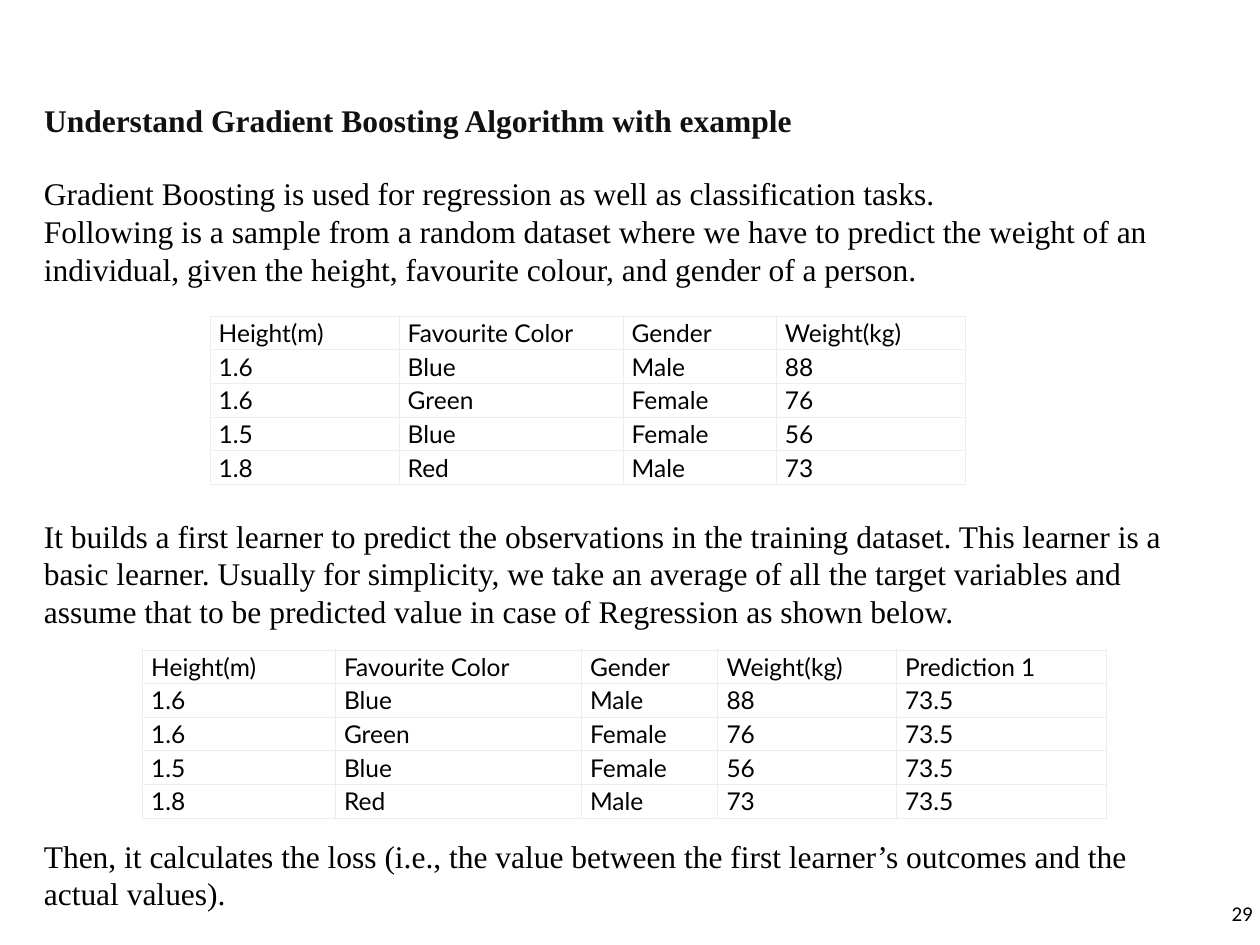
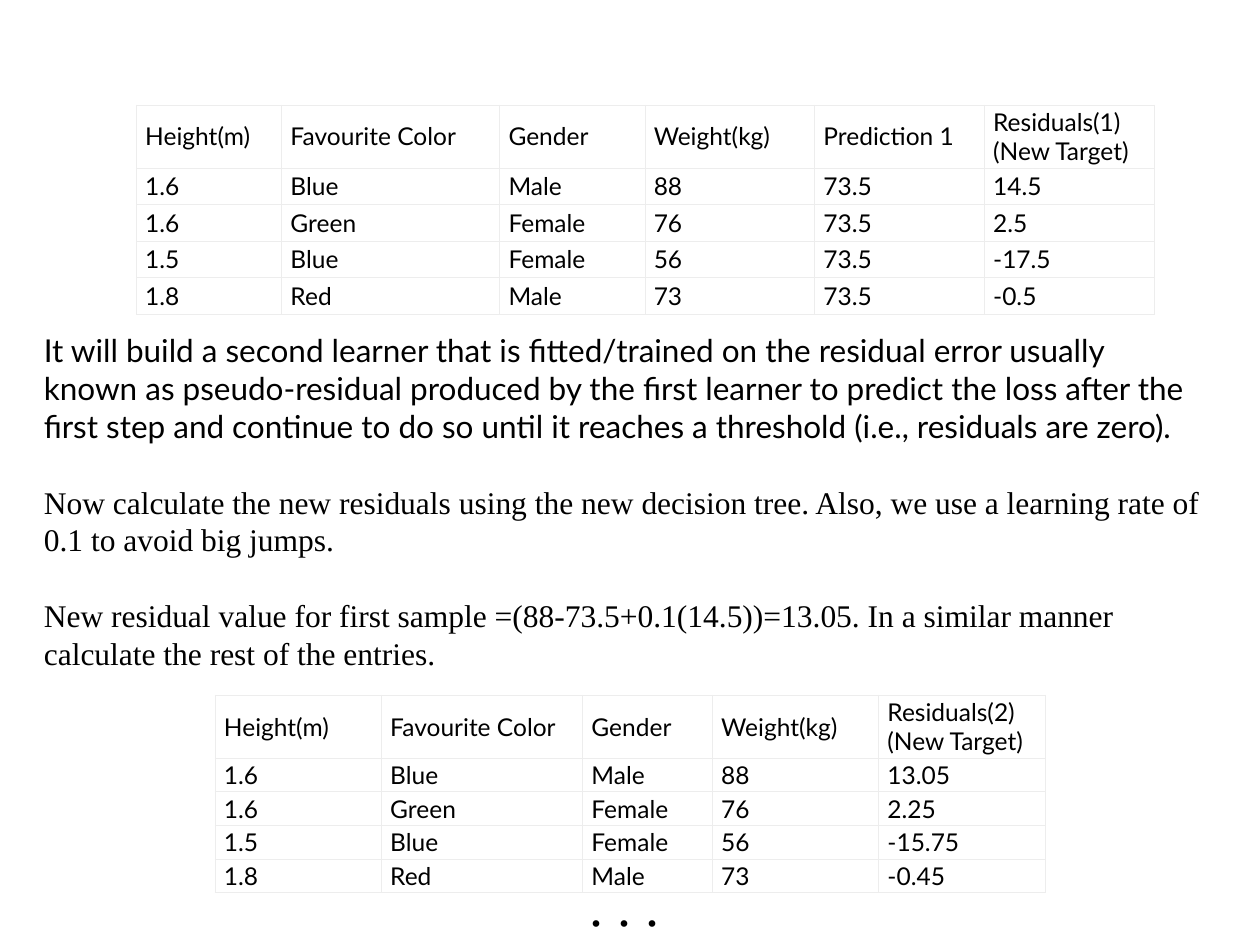
"""Build two slides that work through gradient boosting on a small data set."""
from lxml.etree import SubElement, Element
from pptx import Presentation
from pptx.dml.color import RGBColor
from pptx.enum.text import MSO_ANCHOR as Anchor, MSO_AUTO_SIZE as AutoSize, PP_ALIGN as Align
from pptx.oxml.ns import qn
from pptx.util import Pt

BLACK = RGBColor(0x00, 0x00, 0x00)
TITLE_INK = RGBColor(0x11, 0x11, 0x11)
WHITE = RGBColor(0xFF, 0xFF, 0xFF)
RULE = RGBColor(0xED, 0xED, 0xED)
SERIF, SANS, NUMBER_FONT = "Times New Roman", "Lato", "Calibri"
TITLE_ONLY, BLANK = 5, 6
LEFT, BODY_WIDTH = 18, 678
LINE_FACTOR = 1.2
BODY_LINE = 18 * LINE_FACTOR
ROW = 19.2
TALL_HEADER = 36

SAMPLES = {
    "Height(m)": ["1.6", "1.6", "1.5", "1.8"],
    "Favourite Color": ["Blue", "Green", "Blue", "Red"],
    "Gender": ["Male", "Female", "Female", "Male"],
    "Weight(kg)": ["88", "76", "56", "73"],
}
PREDICTION = {"Prediction 1": ["73.5"] * 4}
FIRST_RESIDUALS = {"Residuals(1) (New Target)": ["14.5", "2.5", "-17.5", "-0.5"]}
SECOND_RESIDUALS = {"Residuals(2)\n(New Target)": ["13.05", "2.25", "-15.75", "-0.45"]}


class Deck:
    """Hold the shared style and the slide being filled."""

    def __init__(self):
        self.prs = Presentation()
        self.prs.slide_width, self.prs.slide_height = Pt(720), Pt(540)
        self.slide = None

    def new_slide(self, layout):
        """Start a slide on the given layout."""
        self.slide = self.prs.slides.add_slide(self.prs.slide_layouts[layout])
        self.slide.background.fill.solid()
        self.slide.background.fill.fore_color.rgb = WHITE

    def style(self, paragraph, font=SERIF, size=18, color=BLACK, bold=False):
        """Format the runs of one paragraph."""
        for run in paragraph.runs:
            run.font.name, run.font.size, run.font.bold = font, Pt(size), bold
            run.font.color.rgb = color

    def fill_frame(self, frame, paragraphs, align=Align.LEFT, gap=0, fonts=(), wrap=True, **look):
        """Write paragraphs into a frame, with one line pitch for all fonts."""
        frame.word_wrap, frame.auto_size = wrap, AutoSize.NONE
        frame.vertical_anchor = Anchor.TOP
        frame.text = "\n".join(paragraphs)
        for index, paragraph in enumerate(frame.paragraphs):
            paragraph.alignment = align
            paragraph.line_spacing = Pt(look.get("size", 18) * LINE_FACTOR)
            paragraph.space_before = Pt(gap if index else 0)
            paragraph_look = {**look, "font": fonts[index]} if fonts else look
            self.style(paragraph, **paragraph_look)

    def title(self, text, left, top, width, height):
        """Place the slide title."""
        heading = self.slide.shapes.title
        heading.left, heading.top, heading.width, heading.height = map(Pt, (left, top, width, height))
        self.fill_frame(heading.text_frame, [text], color=TITLE_INK, bold=True)

    def text(self, paragraphs, top, height, left=LEFT, width=BODY_WIDTH, **options):
        """Place a text box."""
        box = self.slide.shapes.add_textbox(*map(Pt, (left, top, width, height)))
        self.fill_frame(box.text_frame, paragraphs, **options)

    def table(self, columns, left, top, widths, header=ROW, row=ROW):
        """Place a data table with thin pale rules."""
        records = [list(columns), *zip(*columns.values())]
        heights = [header] + [row] * (len(records) - 1)
        grid = self.slide.shapes.add_table(
            len(records), len(widths), Pt(left), Pt(top), Pt(sum(widths)), Pt(sum(heights))).table
        grid.first_row = grid.horz_banding = False
        for column, width in zip(grid.columns, widths):
            column.width = Pt(width)
        for line, height, record in zip(grid.rows, heights, records):
            line.height = Pt(height)
            for cell, value in zip(line.cells, record):
                self.cell(cell, value)

    def cell(self, cell, value):
        """Write and format one table cell."""
        cell.text_frame.text = value
        cell.vertical_anchor = Anchor.MIDDLE
        cell.margin_left = cell.margin_right = Pt(5)
        cell.margin_top = cell.margin_bottom = Pt(1.2)
        cell.fill.solid()
        cell.fill.fore_color.rgb = WHITE
        for paragraph in cell.text_frame.paragraphs:
            self.style(paragraph, SANS, 14)
        properties = cell._tc.get_or_add_tcPr()
        for position, edge in enumerate(("a:lnL", "a:lnR", "a:lnT", "a:lnB")):
            border = Element(qn(edge), w=str(Pt(0.6)))
            SubElement(SubElement(border, qn("a:solidFill")), qn("a:srgbClr"), val=str(RULE))
            properties.insert(position, border)


def first_learner(deck):
    """Show the data set and the first prediction."""
    deck.new_slide(TITLE_ONLY)
    deck.title("Understand Gradient Boosting Algorithm with example", LEFT, 54, 444, 29)
    deck.text([
        "Gradient Boosting is used for regression as well as classification tasks.",
        "Following is a sample from a random dataset where we have to predict the weight of an "
        "individual, given the height, favourite colour, and gender of a person.",
    ], 96, 73)
    deck.table(SAMPLES, 120, 180.7, [108, 128, 87.6, 108])
    deck.text([
        "It builds a first learner to predict the observations in the training dataset. This "
        "learner is a basic learner. Usually for simplicity, we take an average of all the target "
        "variables and assume that to be predicted value in case of Regression as shown below.",
    ], 291.6, 73)
    deck.table(SAMPLES | PREDICTION, 81.4, 371.4, [110.2, 140.6, 78, 102, 120])
    deck.text([
        "Then, it calculates the loss (i.e., the value between the first learner’s outcomes and "
        "the actual values).",
    ], 474.5, 51)
    deck.text(["29"], 511, 29, left=663, width=60, align=Align.RIGHT, font=NUMBER_FONT, size=12)


def second_learner(deck):
    """Show the residuals and how the next learner reduces them."""
    deck.new_slide(BLANK)
    deck.table(SAMPLES | PREDICTION | FIRST_RESIDUALS, 78, 60,
               [83, 124.6, 83, 97, 97, 97], TALL_HEADER, 20.9)
    deck.text([
        "It will build a second learner that is fitted/trained on the residual error usually known "
        "as pseudo-residual produced by the first learner to predict the loss after the first step "
        "and continue to do so until it reaches a threshold (i.e., residuals are zero).",
        "Now calculate the new residuals using the new decision tree. Also, we use a learning rate "
        "of 0.1 to avoid big jumps.",
        "New residual value for first sample =(88-73.5+0.1(14.5))=13.05. In a similar manner "
        "calculate the rest of the entries.",
    ], 185.8, 204, gap=BODY_LINE, fonts=(SANS, SERIF, SERIF))
    deck.table(SAMPLES | SECOND_RESIDUALS, 123, 397.2, [95, 115, 74.2, 95, 95], TALL_HEADER)
    deck.text([". . ."], 494, 46, left=330, width=55, size=32, wrap=False)


def main():
    """Build and save the deck."""
    deck = Deck()
    first_learner(deck)
    second_learner(deck)
    deck.prs.save("out.pptx")


if __name__ == "__main__":
    main()
